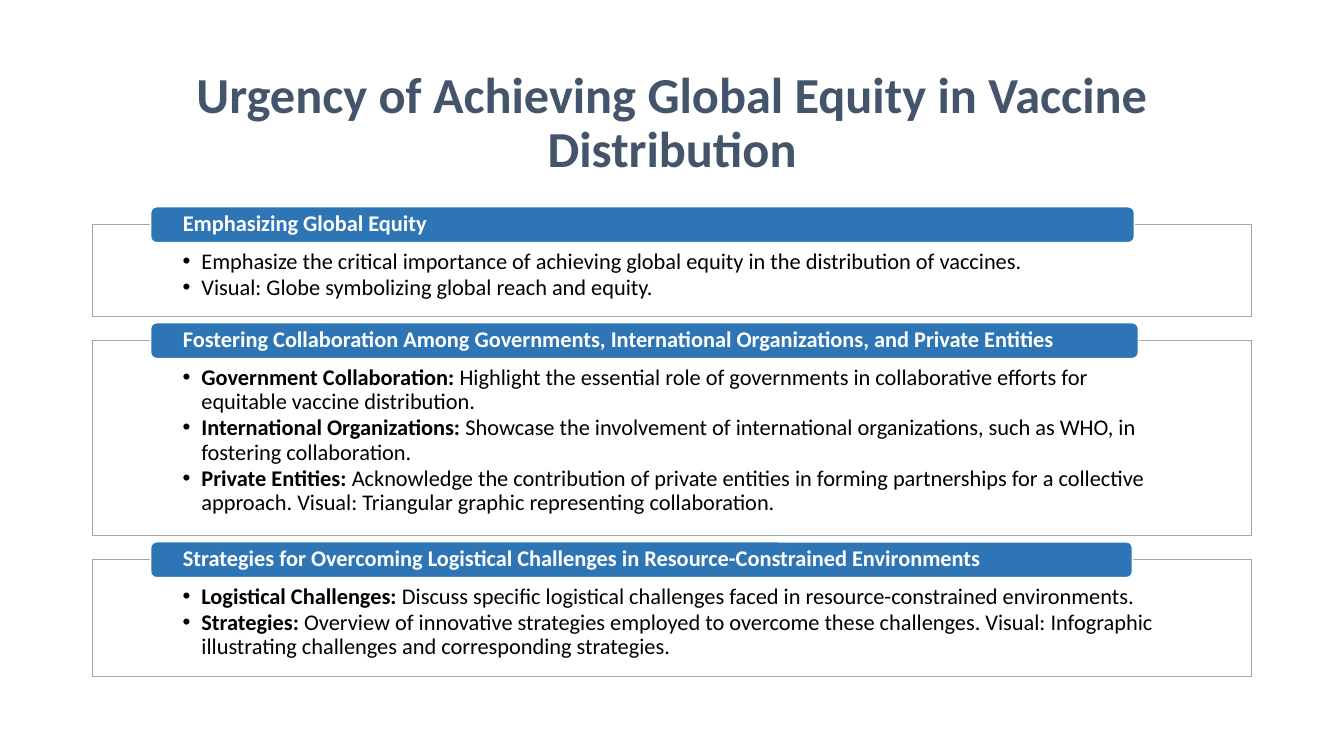
from dataclasses import dataclass

from lxml import etree
from pptx import Presentation
from pptx import util as u
from pptx.dml.color import RGBColor
from pptx.enum import shapes, text
from pptx.oxml.ns import qn

FONT = "Calibri"
NAVY, BLUE, GREY, WHITE, BLACK = "44546A", "2E75B6", "A5A5A5", "FFFFFF", "000000"
PANEL_LEFT, PANEL_WIDTH, FIRST_TOP, PANEL_GAP = 66.2, 828, 160.5, 17.3
BAR_LEFT, BAR_HEIGHT, BAR_RISE = 107.6, 25.6, 12.8
BULLET_INDENT = 13.5


@dataclass
class Bullet:
    body: str
    lead: str = ""


@dataclass
class Section:
    heading: str
    height: float
    bar_width: float
    bullets: list[Bullet]


SECTIONS = [
    Section("Emphasizing Global Equity", 65.5, 702.7, [
        Bullet("Emphasize the critical importance of achieving global equity "
               "in the distribution of vaccines."),
        Bullet("Visual: Globe symbolizing global reach and equity."),
    ]),
    Section("Fostering Collaboration Among Governments, International Organizations, "
            "and Private Entities", 139.2, 705.6, [
        Bullet("Highlight the essential role of governments in collaborative efforts "
               "for equitable vaccine distribution.", "Government Collaboration: "),
        Bullet("Showcase the involvement of international organizations, such as WHO, "
               "in fostering collaboration.", "International Organizations: "),
        Bullet("Acknowledge the contribution of private entities in forming partnerships "
               "for a collective approach. Visual: Triangular graphic representing "
               "collaboration.", "Private Entities: "),
    ]),
    Section("Strategies for Overcoming Logistical Challenges in Resource-Constrained "
            "Environments", 83.5, 701.3, [
        Bullet("Discuss specific logistical challenges faced in resource-constrained "
               "environments.", "Logistical Challenges: "),
        Bullet("Overview of innovative strategies employed to overcome these challenges. "
               "Visual: Infographic illustrating challenges and corresponding strategies.",
               "Strategies: "),
    ]),
]


def color(value: str) -> RGBColor:
    return RGBColor.from_string(value)


def set_all(target, values: dict) -> None:
    for name, value in values.items():
        setattr(target, name, value)


def set_frame(box, anchor, left: float, top: float, right: float, bottom: float):
    """Set wrapping, anchor and insets, and return the text frame."""
    frame = box.text_frame
    set_all(frame, {
        "word_wrap": True, "vertical_anchor": anchor,
        "margin_left": u.Pt(left), "margin_top": u.Pt(top),
        "margin_right": u.Pt(right), "margin_bottom": u.Pt(bottom),
    })
    return frame


def set_para(para, align=text.PP_ALIGN.LEFT, after: float = 0) -> None:
    set_all(para, {"alignment": align, "line_spacing": 0.9,
                   "space_before": u.Pt(0), "space_after": u.Pt(after)})


def add_span(para, words: str, size: float, hex_color: str, bold: bool) -> None:
    span = para.add_run()
    span.text = words
    set_all(span.font, {"name": FONT, "size": u.Pt(size), "bold": bold})
    span.font.color.rgb = color(hex_color)


def add_box(page, kind, left: float, top: float, width: float, height: float,
            fill: str, line: str):
    box = page.shapes.add_shape(kind, u.Pt(left), u.Pt(top), u.Pt(width), u.Pt(height))
    box.shadow.inherit = False
    box.fill.solid()
    box.fill.fore_color.rgb = color(fill)
    box.line.color.rgb = color(line)
    box.line.width = u.Pt(1)
    return box


def add_bullet_mark(para) -> None:
    props = para._p.get_or_add_pPr()
    props.set("marL", str(u.Pt(BULLET_INDENT)))
    props.set("indent", str(-u.Pt(BULLET_INDENT)))
    etree.SubElement(props, qn("a:buFont")).set("typeface", "Arial")
    etree.SubElement(props, qn("a:buChar")).set("char", "•")


def add_title(page) -> None:
    box = page.shapes.add_textbox(u.Pt(66.2), u.Pt(44), u.Pt(828), u.Pt(89.3))
    frame = set_frame(box, text.MSO_ANCHOR.MIDDLE, 7.2, 3.6, 7.2, 3.6)
    para = frame.paragraphs[0]
    set_para(para, text.PP_ALIGN.CENTER)
    add_span(para, "Urgency of Achieving Global Equity in Vaccine Distribution", 36, NAVY, True)


def add_section(page, section: Section, top: float) -> None:
    panel = add_box(page, shapes.MSO_SHAPE.RECTANGLE, PANEL_LEFT, top,
                    PANEL_WIDTH, section.height, WHITE, GREY)
    frame = set_frame(panel, text.MSO_ANCHOR.TOP, 64.2, 18, 64.2, 8.6)
    for index, bullet in enumerate(section.bullets):
        para = frame.add_paragraph() if index else frame.paragraphs[0]
        set_para(para, after=1.7)
        add_bullet_mark(para)
        if bullet.lead:
            add_span(para, bullet.lead, 16, BLACK, True)
        add_span(para, bullet.body, 16, BLACK, False)

    bar = add_box(page, shapes.MSO_SHAPE.ROUNDED_RECTANGLE, BAR_LEFT, top - BAR_RISE,
                  section.bar_width, BAR_HEIGHT, BLUE, WHITE)
    para = set_frame(bar, text.MSO_ANCHOR.MIDDLE, 21.8, 0, 21.8, 0).paragraphs[0]
    set_para(para)
    add_span(para, section.heading, 16, WHITE, True)


def main() -> None:
    deck = Presentation()
    deck.slide_width, deck.slide_height = u.Pt(960), u.Pt(540)
    page = deck.slides.add_slide(deck.slide_layouts[6])
    add_title(page)
    top = FIRST_TOP
    for section in SECTIONS:
        add_section(page, section, top)
        top += section.height + PANEL_GAP
    deck.save("out.pptx")


if __name__ == "__main__":
    main()
